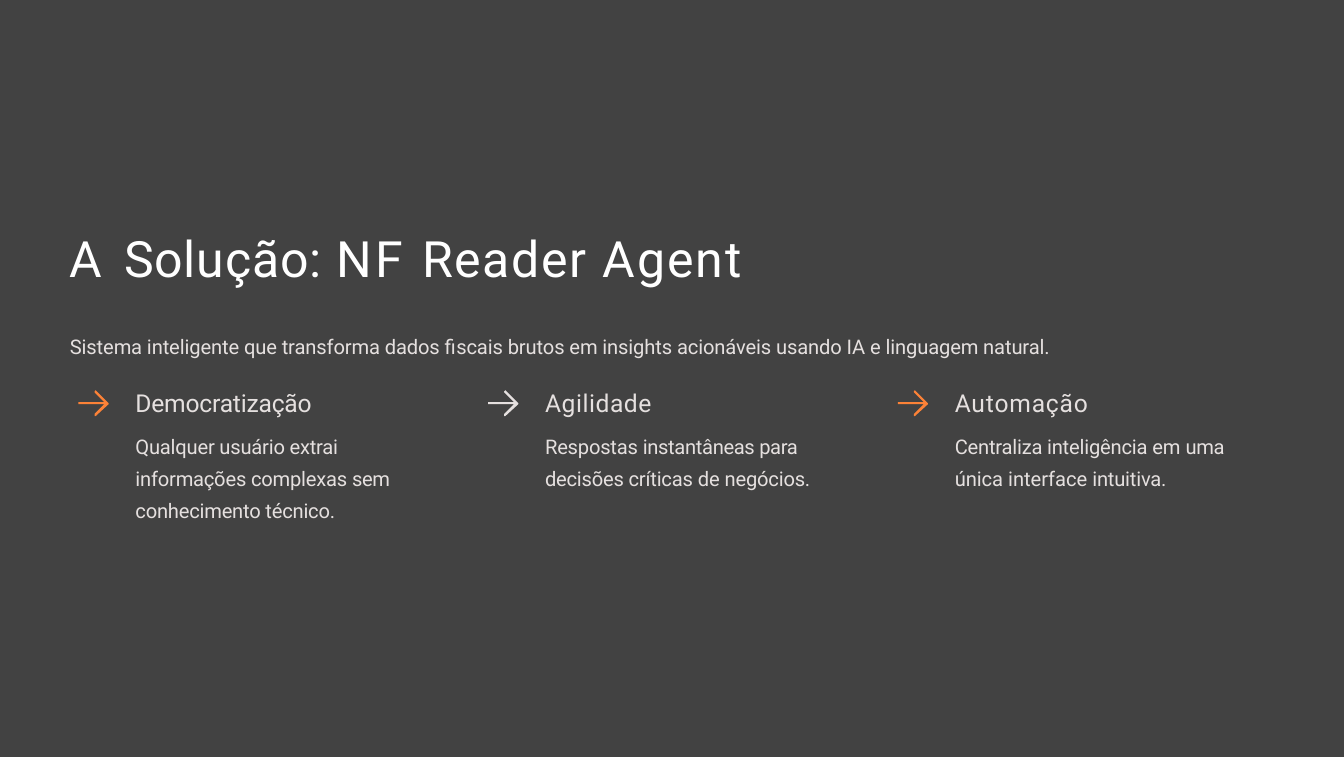
from lxml import etree
from pptx import Presentation
from pptx.dml.color import RGBColor
from pptx.enum.shapes import MSO_SHAPE
from pptx.oxml.ns import qn
from pptx.util import Inches, Pt

RECTANGLE = MSO_SHAPE.RECTANGLE
FONT = "Roboto"
COLORS = {"veil": "030303", "title": "FFFFFF", "text": "E5E0DF", "accent": "FC8237"}

WIDTH, HEIGHT = 12.5, 7.05
MARGIN = 0.64
COLUMN_PITCH = 3.81
ARROW_LEFT, ARROW_TOP = 0.73, 3.63
BENEFIT_LEFT, BENEFIT_TOP = 1.25, 3.59

# Arrow outline in hundredths of an inch
ARROW = [(16.5, 0), (15.5, 0), (15, 1), (15, 2), (24.5, 11.2), (0.5, 11.2),
         (0, 12), (0, 12.6), (0.5, 13.2), (24.5, 13.2), (15, 22.5),
         (15, 23.5), (15.5, 24), (16.5, 24), (28.2, 12.7), (28.2, 11.7)]

TITLE = [("A ", 3.1), ("Solução: ", 0.6), ("NF ", 2.3), ("Reader ", 1.1), ("Agent", 1.4)]
SUMMARY = [("Sistema inteligente que transforma dados fiscais brutos em insights "
            "acionáveis usando IA e linguagem natural.", -0.05)]

# Each benefit: arrow colour, text width and height, heading runs, detail runs
BENEFITS = [
    ("accent", 2.45, 1.29, [("Democratização", -0.1)],
     [("Qualquer usuário extrai informações complexas ", -0.1), ("sem ", -0.2),
      ("conhecimento técnico.", -0.1)]),
    ("text", 2.55, 0.99, [("Agilidade", 0.4)],
     [("Respostas ", -0.1), ("instantâneas para ", -0.2),
      ("decisões críticas ", -0.1), ("de ", 0), ("negócios.", -0.1)]),
    ("accent", 2.59, 0.99, [("Automação", 0.6)],
     [("Centraliza inteligência ", -0.1), ("em ", 0), ("uma ", -0.2),
      ("única interface ", 0), ("intuitiva.", -0.1)]),
]


def paint(shape, color):
    shape.shadow.inherit = False
    shape.fill.solid()
    shape.fill.fore_color.rgb = RGBColor.from_string(COLORS[color])
    shape.line.fill.background()


def add_veil(slide):
    """Cover the slide with a dark, partly transparent sheet."""
    veil = slide.shapes.add_shape(RECTANGLE, 0, 0, Inches(WIDTH), Inches(HEIGHT - 0.01))
    paint(veil, "veil")
    shade = next(veil.element.spPr.iter(qn("a:srgbClr")))
    etree.SubElement(shade, qn("a:alpha"), val="75000")


def add_arrow(slide, left, top, color):
    outline = slide.shapes.build_freeform(*ARROW[0], scale=Inches(0.01))
    outline.add_line_segments(ARROW[1:], close=True)
    paint(outline.convert_to_shape(Inches(left), Inches(top)), color)


def add_text_frame(slide, left, top, width, height, inset_top):
    box = slide.shapes.add_textbox(Inches(left), Inches(top), Inches(width), Inches(height))
    frame = box.text_frame
    frame.word_wrap = True
    frame.margin_left = Inches(0.01)
    frame.margin_right = frame.margin_bottom = 0
    frame.margin_top = Inches(inset_top)
    return frame


def write(paragraph, runs, *, size, color="text", before=1, line=None):
    """Fill a paragraph with (text, letter spacing in points) runs."""
    paragraph.space_before = Pt(before)
    if line:
        paragraph.line_spacing = line
    for text, tracking in runs:
        run = paragraph.add_run()
        run.text = text
        run.font.name = FONT
        run.font.size = Pt(size)
        run.font.color.rgb = RGBColor.from_string(COLORS[color])
        run.font._element.set("spc", str(round(tracking * 100)))


def add_benefit(slide, column, arrow_color, width, height, heading, detail):
    offset = column * COLUMN_PITCH
    add_arrow(slide, ARROW_LEFT + offset, ARROW_TOP, arrow_color)
    frame = add_text_frame(slide, BENEFIT_LEFT + offset, BENEFIT_TOP, width, height, 0.02)
    write(frame.paragraphs[0], heading, size=16.5, before=1.4)
    write(frame.add_paragraph(), detail, size=13.5, before=5.4, line=1.34)


def main():
    deck = Presentation()
    deck.slide_width, deck.slide_height = Inches(WIDTH), Inches(HEIGHT)
    slide = deck.slides.add_slide(deck.slide_layouts[6])
    add_veil(slide)
    title = add_text_frame(slide, MARGIN, 1.75, 7.84, 1.17, 0.37)
    write(title.paragraphs[0], TITLE, size=33.5, color="title")
    summary = add_text_frame(slide, MARGIN, 3.1, 9.27, 0.25, 0.01)
    write(summary.paragraphs[0], SUMMARY, size=13.5)
    for column, benefit in enumerate(BENEFITS):
        add_benefit(slide, column, *benefit)
    deck.save("out.pptx")


if __name__ == "__main__":
    main()
